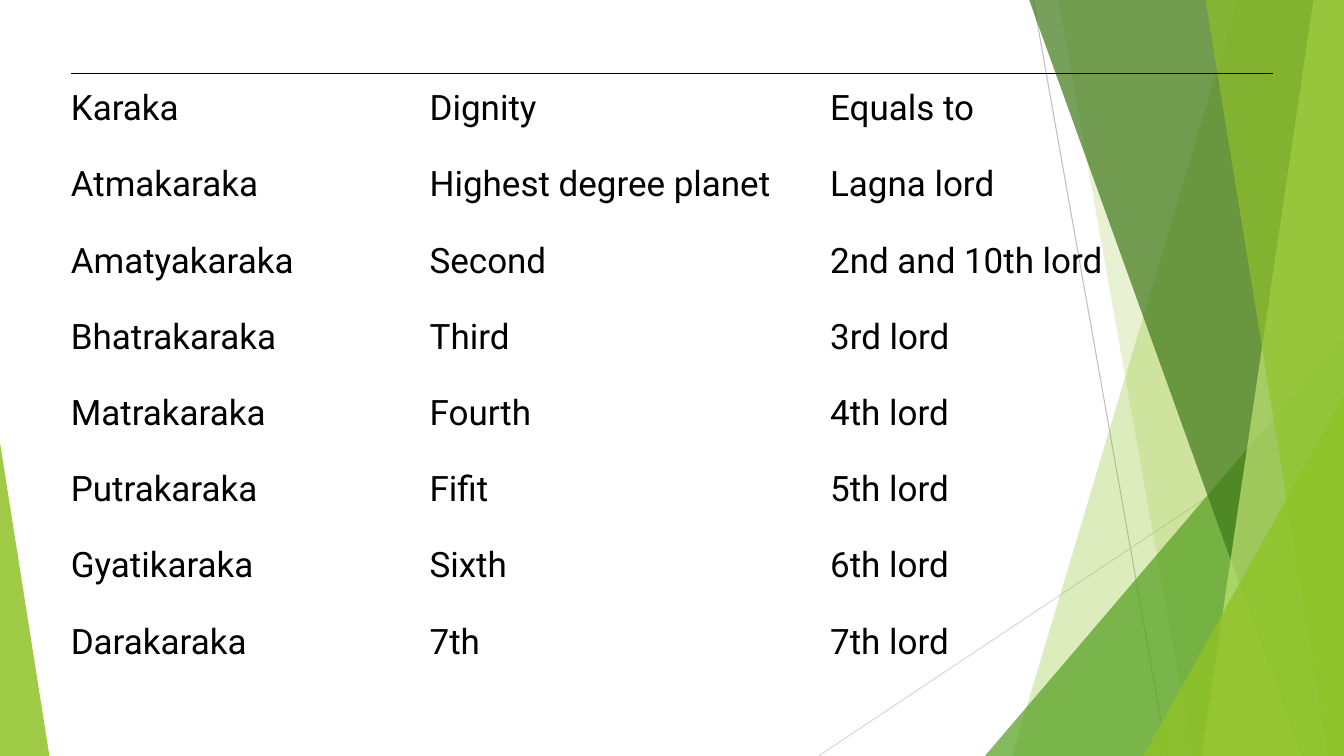
from lxml.etree import SubElement
from pptx import Presentation
from pptx.dml.color import RGBColor
from pptx.enum.shapes import MSO_CONNECTOR as CONN, MSO_SHAPE as SHAPE
from pptx.enum.text import MSO_ANCHOR as ANCHOR
from pptx.oxml import parse_xml
from pptx.oxml.ns import nsdecls, qn
from pptx.util import Inches, Pt

COLORS = {
    "text": "000000", "grey": "BFBFBF", "pale_grey": "D9D9D9",
    "lime": "90C226", "green": "54A021", "forest": "3F7819", "mint": "C0E474",
}
NO_STYLE = "{2D5ABB26-0587-4C30-8999-92F81FD0307C}"

LINES = [
    ((76.88, 0), (86.85, 100), "grey"),
    ((100, 53.73), (60.9, 100), "pale_grey"),
]
BACK_BANDS = [(92.1, 75.3, 100, "lime", 30), (78.75, 88.73, 100, "lime", 20)]
FRONT_BANDS = [
    (76.58, 96.83, 100, "forest", 70),
    (97.73, 89.4, 100, "mint", 70),
    (89.7, 98.85, 100, "lime", 65),
]
BACK_TRIANGLE = (73.28, 44.4, 26.72, 1, "green", 72)
FRONT_TRIANGLES = [
    (85.05, 52.4, 14.95, 1, "lime", 80),
    (0, 58.53, 3.68, 0, "lime", 85),
]
ROWS = [
    ("Karaka", "Dignity", "Equals to"),
    ("Atmakaraka", "Highest degree planet", "Lagna lord"),
    ("Amatyakaraka", "Second", "2nd and 10th lord"),
    ("Bhatrakaraka", "Third", "3rd lord"),
    ("Matrakaraka", "Fourth", "4th lord"),
    ("Putrakaraka", "Fifit", "5th lord"),
    ("Gyatikaraka", "Sixth", "6th lord"),
    ("Darakaraka", "7th", "7th lord"),
]


class Deck:
    """Draw styled elements on one slide, with lengths in percent of its size."""

    def __init__(self, font, size):
        self.font, self.size = font, size
        self.prs = Presentation()
        self.prs.slide_width, self.prs.slide_height = Inches(13.333), Inches(7.5)
        self.s = self.prs.slides.add_slide(self.prs.slide_layouts[6])

    def x(self, share):
        return round(self.prs.slide_width * share / 100)

    def y(self, share):
        return round(self.prs.slide_height * share / 100)

    def color(self, name):
        return RGBColor.from_string(COLORS[name])

    def paint(self, sp, color, opacity):
        sp.shadow.inherit = False
        sp.line.fill.background()
        sp.fill.solid()
        sp.fill.fore_color.rgb = self.color(color)
        rgb = sp.fill._xPr.find(".//" + qn("a:srgbClr"))
        SubElement(rgb, qn("a:alpha"), val=str(opacity * 1000))

    def line(self, start, end, color):
        ln = self.s.shapes.add_connector(
            CONN.STRAIGHT, self.x(start[0]), self.y(start[1]), self.x(end[0]), self.y(end[1]))
        ln.line.color.rgb = self.color(color)
        ln.line.width = Pt(0.75)
        SubElement(ln._element.spPr, qn("a:effectLst"))

    def band(self, top, bottom, edge, color, opacity):
        fb = self.s.shapes.build_freeform(self.x(top), 0)
        corners = [(edge, 0), (edge, 100), (bottom, 100)]
        fb.add_line_segments([(self.x(x), self.y(y)) for x, y in corners])
        self.paint(fb.convert_to_shape(), color, opacity)

    def triangle(self, left, top, width, apex, color, opacity):
        sp = self.s.shapes.add_shape(
            SHAPE.ISOSCELES_TRIANGLE, self.x(left), self.y(top), self.x(width), self.y(100 - top))
        sp.adjustments[0] = apex
        self.paint(sp, color, opacity)

    def cell(self, cell, text):
        cell.margin_left, cell.margin_right = 0, self.x(0.08)
        cell.margin_top, cell.margin_bottom = self.y(0.8), self.y(2.67)
        cell.vertical_anchor = ANCHOR.BOTTOM
        cell.text_frame.text = text
        r = cell.text_frame.paragraphs[0].runs[0]
        r.font.name, r.font.size = self.font, Pt(self.size)
        r.font.color.rgb = self.color("text")

    def top_border(self, cell):
        cell._tc.get_or_add_tcPr().append(parse_xml(
            f'<a:lnT {nsdecls("a")} w="{Pt(0.75)}"><a:solidFill>'
            f'<a:srgbClr val="{COLORS["text"]}"/></a:solidFill></a:lnT>'))

    def table(self, left, top, widths, row_height, rows):
        tbl = self.s.shapes.add_table(
            len(rows), len(widths), self.x(left), self.y(top),
            self.x(sum(widths)), self.y(row_height * len(rows))).table
        tbl.first_row = tbl.horz_banding = False
        tbl._tbl.tblPr.find(qn("a:tableStyleId")).text = NO_STYLE
        for col, width in zip(tbl.columns, widths):
            col.width = self.x(width)
        for i, texts in enumerate(rows):
            tbl.rows[i].height = self.y(row_height)
            for j, text in enumerate(texts):
                cell = tbl.cell(i, j)
                self.cell(cell, text)
                if i == 0:
                    self.top_border(cell)
                cell.fill.background()


def main():
    deck = Deck("Roboto", 25)
    for line in LINES:
        deck.line(*line)
    for band in BACK_BANDS:
        deck.band(*band)
    deck.triangle(*BACK_TRIANGLE)
    for band in FRONT_BANDS:
        deck.band(*band)
    for triangle in FRONT_TRIANGLES:
        deck.triangle(*triangle)
    deck.table(5.27, 9.7, (26.7, 29.8, 32.93), 10.08, ROWS)
    deck.prs.save("out.pptx")


if __name__ == "__main__":
    main()
